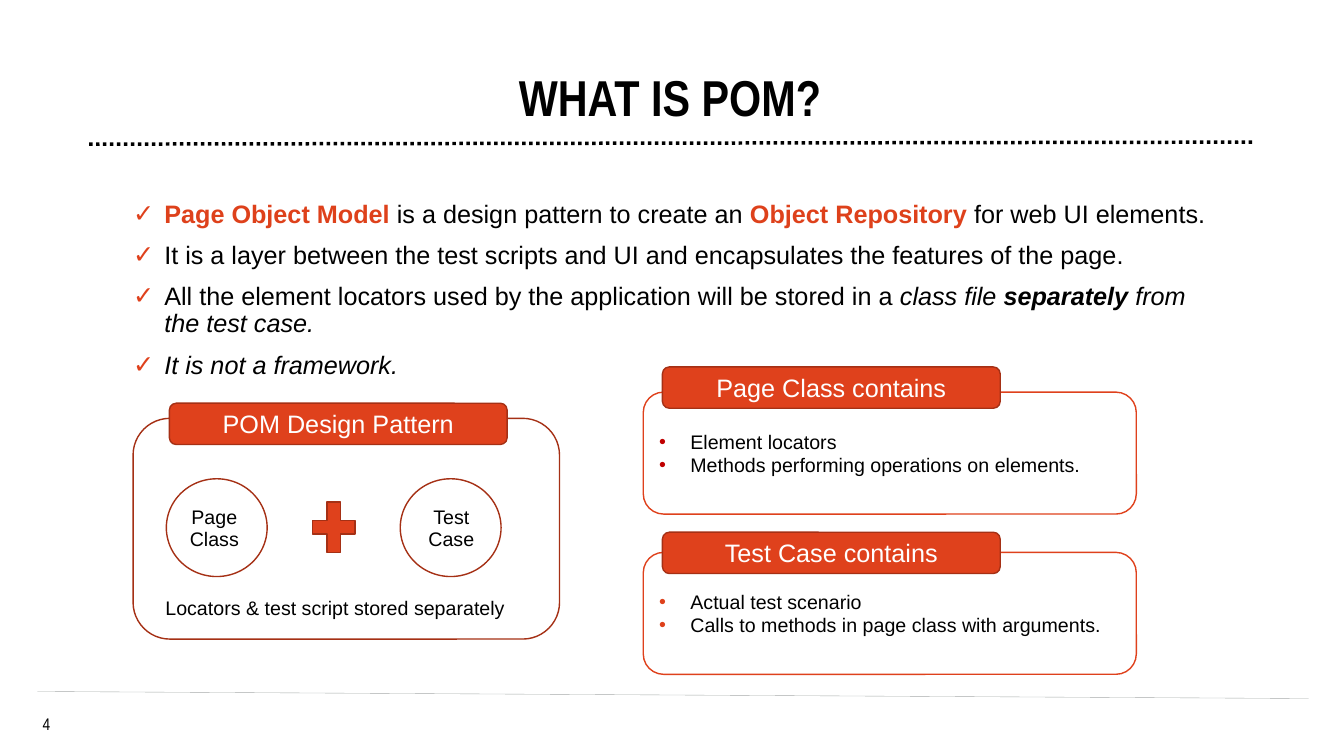
from dataclasses import dataclass

from lxml import etree
from pptx import Presentation
from pptx.dml.color import RGBColor
from pptx.enum.dml import MSO_LINE
from pptx.enum.shapes import MSO_CONNECTOR, MSO_SHAPE
from pptx.enum.text import MSO_ANCHOR, PP_ALIGN
from pptx.oxml.ns import qn
from pptx.util import Inches, Pt

ROUND, OVAL, PLUS = MSO_SHAPE.ROUNDED_RECTANGLE, MSO_SHAPE.OVAL, MSO_SHAPE.MATH_PLUS
STRAIGHT = MSO_CONNECTOR.STRAIGHT
DOTS = MSO_LINE.ROUND_DOT
LEFT, CENTER = PP_ALIGN.LEFT, PP_ALIGN.CENTER
TOP, MIDDLE, BOTTOM = MSO_ANCHOR.TOP, MSO_ANCHOR.MIDDLE, MSO_ANCHOR.BOTTOM


@dataclass(frozen=True)
class Theme:
    font: str = "Arial"
    narrow: str = "Arial Narrow"
    text: str = "000000"
    white: str = "FFFFFF"
    accent: str = "DF411C"
    emphasis: str = "DE411B"
    edge: str = "A53015"
    dark_red: str = "C00000"
    rule: str = "A6AAA9"
    title: int = 36
    body: int = 18
    detail: int = 14
    number: int = 12
    bullet_indent: float = 0.31
    header_width: float = 3.35
    header_height: float = 0.41


THEME = Theme()


def rgb(value):
    return RGBColor.from_string(value)


def style_run(r, size, color=THEME.text, font=THEME.font, bold=False, italic=False):
    r.font.size = Pt(size)
    r.font.name = font
    r.font.bold = bold
    r.font.italic = italic
    r.font.color.rgb = rgb(color)


def add_bullet(p, char, color):
    pPr = p._p.get_or_add_pPr()
    indent = Inches(THEME.bullet_indent)
    pPr.set("marL", str(indent))
    pPr.set("indent", str(-indent))
    clr = etree.SubElement(pPr, qn("a:buClr"))
    etree.SubElement(clr, qn("a:srgbClr"), val=color)
    etree.SubElement(pPr, qn("a:buFont"), typeface=THEME.font)
    etree.SubElement(pPr, qn("a:buChar"), char=char)


def add_text_box(s, x, y, w, h, anchor=TOP):
    tf = s.shapes.add_textbox(Inches(x), Inches(y), Inches(w), Inches(h)).text_frame
    tf.word_wrap = True
    tf.vertical_anchor = anchor
    tf.margin_left = 0
    return tf


def add_label(s, x, y, w, h, text, size=THEME.detail, align=LEFT, anchor=TOP,
              spacing=0.9, **style):
    tf = add_text_box(s, x, y, w, h, anchor)
    tf.text = text
    p = tf.paragraphs[0]
    p.alignment = align
    p.line_spacing = spacing
    style_run(p.runs[0], size, **style)
    return tf


def add_outline(s, kind, x, y, w, h, fill=None, line=THEME.edge):
    sp = s.shapes.add_shape(kind, Inches(x), Inches(y), Inches(w), Inches(h))
    sp.shadow.inherit = False
    if fill:
        sp.fill.solid()
        sp.fill.fore_color.rgb = rgb(fill)
    else:
        sp.fill.background()
    sp.line.color.rgb = rgb(line)
    sp.line.width = Pt(1)
    return sp


def add_rule(s, start, end, color, width, dash=None):
    x1, y1, x2, y2 = (Inches(v) for v in start + end)
    line = s.shapes.add_connector(STRAIGHT, x1, y1, x2, y2)
    line.line.color.rgb = rgb(color)
    line.line.width = Pt(width)
    if dash:
        line.line.dash_style = dash
    etree.SubElement(line._element.spPr, qn("a:effectLst"))


def add_header(s, x, y, text):
    sp = add_outline(s, ROUND, x, y, THEME.header_width, THEME.header_height, THEME.accent)
    tf = sp.text_frame
    tf.text = text
    tf.vertical_anchor = MIDDLE
    p = tf.paragraphs[0]
    p.alignment = CENTER
    style_run(p.runs[0], THEME.body, THEME.white)


def add_title(s, x, y, w, h, text):
    add_label(s, x, y, w, h, text, THEME.title, CENTER, BOTTOM, 0.7,
              font=THEME.narrow, bold=True)
    add_rule(s, (x + 11.1, y + 1.24), (x - 0.44, y + 1.26), THEME.text, 2.5, DOTS)


def add_points(s, x, y, w, h, points):
    tf = add_text_box(s, x, y, w, h)
    for i, point in enumerate(points):
        p = tf.paragraphs[0] if i == 0 else tf.add_paragraph()
        p.line_spacing = 0.9
        if i:
            p.space_before = Pt(10)
        add_bullet(p, "✓", THEME.accent)
        for text, style in point:
            r = p.add_run()
            r.text = text
            style_run(r, THEME.body, **style)


def add_pattern(s, x, y, w, h):
    add_outline(s, ROUND, x, y, w, h, THEME.white)
    for text, dx, label_dx in (("Page Class", 0.33, 0.55), ("Test Case", 2.65, 2.9)):
        add_outline(s, OVAL, x + dx, y + 0.6, 1, 0.97)
        add_label(s, x + label_dx, y + 0.84, 0.61, 0.5, text, align=CENTER)
    add_outline(s, PLUS, x + 1.7, y + 0.74, 0.58, 0.68, THEME.accent)
    add_label(s, x + 0.32, y + 1.74, 4.01, 0.5, "Locators & test script stored separately")
    add_header(s, x + 0.36, y - 0.15, "POM Design Pattern")


def add_contents(s, x, y, w, h, header, header_y, items, bullet_color):
    tf = add_outline(s, ROUND, x, y, w, h, THEME.white, THEME.accent).text_frame
    tf.text = "\n".join(items)
    tf.vertical_anchor = MIDDLE
    for p in tf.paragraphs:
        p.alignment = LEFT
        add_bullet(p, "•", bullet_color)
        style_run(p.runs[0], THEME.detail)
    add_header(s, x + 0.19, header_y, header)


def add_footer(s, x, y, w, number):
    add_rule(s, (x, y), (x + w, y + 0.07), THEME.rule, 0.25)
    tf = add_label(s, x - 0.15, y + 0.22, 0.48, 0.2, number, THEME.number, CENTER,
                   spacing=1, font=THEME.narrow)
    tf.margin_top = tf.margin_right = tf.margin_bottom = 0


def main():
    prs = Presentation()
    prs.slide_width, prs.slide_height = Inches(13.33), Inches(7.5)
    s = prs.slides.add_slide(prs.slide_layouts[6])
    strong = {"color": THEME.emphasis, "bold": True}
    italic = {"italic": True}
    points = [
        [("Page Object Model ", strong),
         ("is a design pattern to create an ", {}),
         ("Object Repository ", strong),
         ("for web UI elements.", {})],
        [("It is a layer between the test scripts and UI and encapsulates "
          "the features of the page.", {})],
        [("All the element locators used by the application will be stored in a ", {}),
         ("class file ", italic),
         ("separately ", {"italic": True, "bold": True}),
         ("from the test case.", italic)],
        [("It is not a framework.", italic)],
    ]
    add_footer(s, 0.37, 6.86, 12.61, "4")
    add_title(s, 1.32, 0.17, 10.75, 1.12, "WHAT IS POM?")
    add_points(s, 1.32, 1.95, 10.75, 1.5, points)
    add_pattern(s, 1.32, 4.15, 4.23, 2.19)
    add_contents(s, 6.38, 3.89, 4.89, 1.21, "Page Class contains", 3.64,
                 ["Element locators", "Methods performing operations on elements."],
                 THEME.dark_red)
    add_contents(s, 6.38, 5.48, 4.89, 1.21, "Test Case contains", 5.28,
                 ["Actual test scenario", "Calls to methods in page class with arguments."],
                 THEME.emphasis)
    prs.save("out.pptx")


if __name__ == "__main__":
    main()
